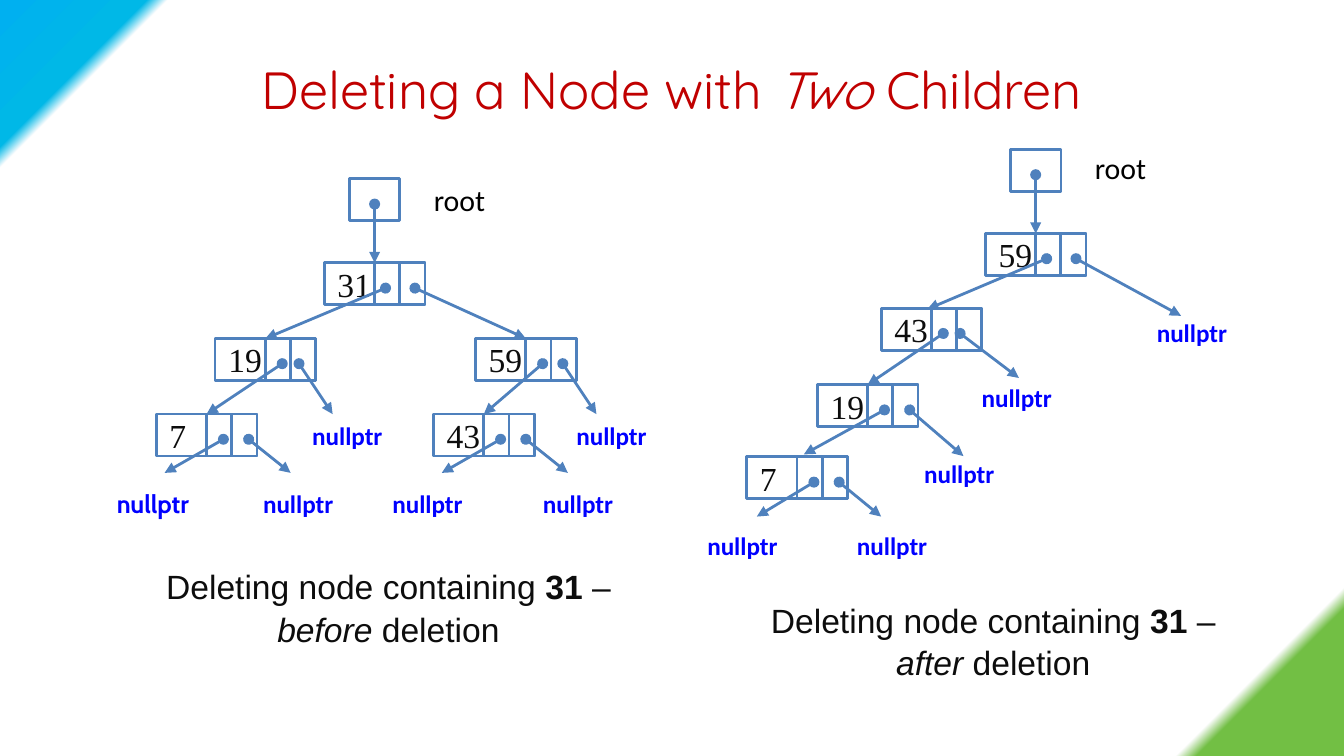
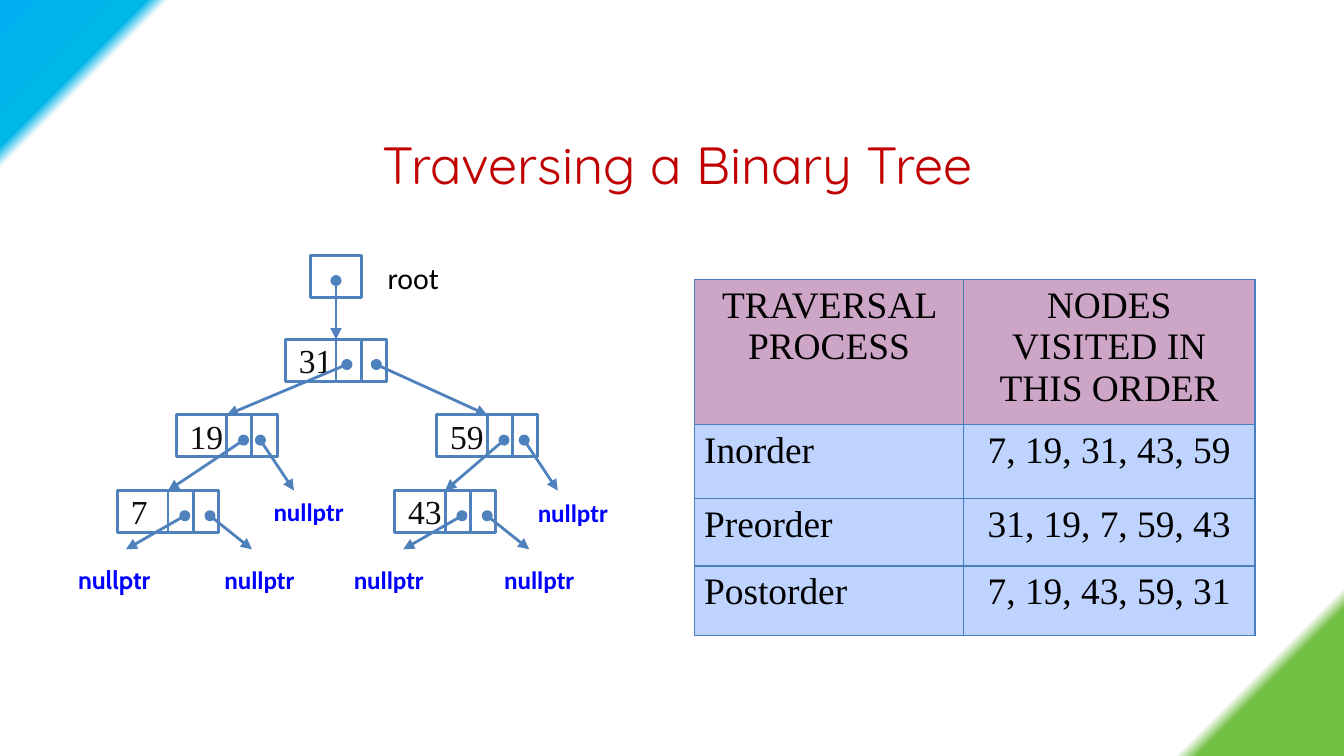
import lxml.etree
import pptx
import pptx.dml.color
import pptx.enum.shapes
import pptx.enum.text
import pptx.oxml
import pptx.oxml.ns
import pptx.util

RGB = pptx.dml.color.RGBColor
RED = RGB(0xC0, 0x00, 0x00)
BLUE = RGB(0x4F, 0x81, 0xBD)
NULL = RGB(0x00, 0x00, 0xFF)
INK = RGB(0x0D, 0x0D, 0x0D)
BLACK = RGB(0x00, 0x00, 0x00)
EDGE = RGB(0x4B, 0x7E, 0xBC)
HEAD = RGB(0xCD, 0xA5, 0xC7)
BODY = RGB(0xBF, 0xD3, 0xFF)
SKY = RGB(0x00, 0xB0, 0xF0)
AQUA = RGB(0x00, 0xB8, 0xE7)
WHITE = RGB(0xFF, 0xFF, 0xFF)
GREEN = RGB(0x72, 0xBF, 0x44)

LEFT = pptx.enum.text.PP_ALIGN.LEFT
MID = pptx.enum.text.PP_ALIGN.CENTER
TOP = pptx.enum.text.MSO_ANCHOR.TOP
HALF = pptx.enum.text.MSO_ANCHOR.MIDDLE
RECT = pptx.enum.shapes.MSO_SHAPE.RECTANGLE
LINE = pptx.enum.shapes.MSO_CONNECTOR.STRAIGHT
NS = pptx.oxml.ns.nsdecls("a")

# The slide is a grid of 160 columns by 90 rows of square units
deck = pptx.Presentation()
deck.slide_width = pptx.util.Inches(10)
deck.slide_height = pptx.util.Inches(5.625)
UNIT = deck.slide_width / 160


def write(frame, text, font="Calibri", size=18, color=INK, bold=False,
          align=MID, anchor=TOP, wrap=True, before=0, space=None):
    """Fill a frame with text, or with (text, style) runs; style is b, i or empty."""
    frame.word_wrap = wrap
    frame.vertical_anchor = anchor
    para = frame.paragraphs[0]
    para.alignment = align
    para.space_before = pptx.util.Pt(before)
    if space:
        para.line_spacing = space
    for words, style in [(text, "")] if isinstance(text, str) else text:
        run = para.add_run()
        run.text = words
        run.font.name = font
        run.font.size = pptx.util.Pt(size)
        run.font.color.rgb = color
        run.font.bold = bold or style == "b"
        run.font.italic = style == "i"


def place(slide, *cells, rect=False):
    """Add a text box or an outlined rectangle at left, top, width, height."""
    spot = [round(c * UNIT) for c in cells]
    if not rect:
        return slide.shapes.add_textbox(*spot)
    shape = slide.shapes.add_shape(RECT, *spot)
    shape.shadow.inherit = False
    shape.fill.background()
    shape.line.color.rgb = BLUE
    shape.line.width = pptx.util.Pt(1.5)
    return shape


# Shared background: coloured corners
master = deck.slide_master
fill = master.background.fill
fill.gradient()
fill.gradient_angle = 315
stops = master.element.find(".//" + pptx.oxml.ns.qn("a:gsLst"))
for old in list(stops):
    stops.remove(old)
for share, tone in [(0, SKY), (7, AQUA), (8, WHITE), (92, WHITE), (93, GREEN)]:
    stops.append(pptx.oxml.parse_xml(
        f'<a:gs {NS} pos="{share * 1000}"><a:srgbClr val="{tone}"/></a:gs>'))

# Slides and titles
titles = [
    ([("Deleting a Node with ", ""), ("Two", "i"), (" Children", "")], (21.4, 4, 117.2, 13)),
    ("Traversing a Binary Tree", (5.3, 13, 150.7, 13)),
]
slides = []
for text, spot in titles:
    slide = deck.slides.add_slide(deck.slide_layouts[6])
    write(place(slide, *spot).text_frame, text, font="Quicksand", size=28,
          color=RED, anchor=HALF)
    slides.append(slide)
first, second = slides

# Trees, measured from the corner of the root box.
# nodes: key -> left, top
# arrows: node, start column in it, then the node or the point it leads to
# nulls: left, top, width, font, alignment
full = dict(
    nodes={31: (-3, 10), 59: (15, 19), 19: (-16, 19), 7: (-23, 28), 43: (10, 28)},
    arrows=[(31, 7.3, 19), (31, 10.8, 59), (19, 8, 7), (19, 10, (-2, 28)),
            (59, 8, 43), (59, 10.4, (29.4, 28)),
            (7, 8, (-22, 35)), (7, 11, (-7, 35)),
            (43, 8, (11, 35)), (43, 11, (26, 35))],
    nulls=[(25, 28, 12.4, "Calibri", MID), (-29.4, 36, 12, "Cabin", MID),
           (-12, 36, 11.8, "Calibri", MID), (3, 36, 12.6, "Calibri", MID),
           (21, 36, 12.4, "Calibri", MID), (-6, 27.9, 12.6, "Calibri", LEFT)])
pruned = dict(
    nodes={59: (-3, 10), 43: (-15.4, 18.9), 19: (-23, 28), 7: (-31.4, 36.6)},
    arrows=[(59, 7.3, (-9.9, 19)), (59, 10.8, (20.3, 19.8)),
            (43, 7.4, 19), (43, 9.4, (1, 27.2)),
            (19, 8, (-24.6, 36.3)), (19, 11, (-5.6, 36.5)),
            (7, 8, (-30.2, 43.7)), (7, 11, (-15.4, 43.7))],
    nulls=[(15.4, 19.2, 12.4, "Calibri", MID), (-12, 36, 11.8, "Calibri", MID),
           (-38.2, 44.6, 12.6, "Calibri", MID), (-20.3, 44.6, 12.4, "Calibri", MID),
           (-5, 26.9, 12.6, "Calibri", LEFT)])

views = [(first, full, 41.6, 21.3, 7.5, 0.5),
         (first, pruned, 120.3, 17.8, 7.5, 0.2),
         (second, full, 37, 30.4, 6.6, 0.6)]
for slide, tree, left, top, over, down in views:
    # Root box and nodes with their two pointer cells
    place(slide, left, top, 6, 5, rect=True)
    boxes = {}
    for key, (x, y) in tree["nodes"].items():
        boxes[key] = place(slide, left + x, top + y, 12, 5, rect=True)
        write(boxes[key].text_frame, str(key), font="Times New Roman",
              align=LEFT, anchor=HALF, wrap=False)
        for col in (9, 6):
            place(slide, left + x + col, top + y, 3, 5, rect=True)

    # Pointers
    spans = [((3, 3), next(iter(boxes)))]
    for key, col, goal in tree["arrows"]:
        x, y = tree["nodes"][key]
        spans.append(((x + col, y + 3), goal))
    for start, goal in spans:
        end = goal if isinstance(goal, tuple) else start
        ends = [round((base + c) * UNIT) for c, base in zip(start + end, (left, top) * 2)]
        link = slide.shapes.add_connector(LINE, *ends)
        if goal in boxes:
            link.end_connect(boxes[goal], 0)
        link.line.color.rgb = BLUE
        link.line.width = pptx.util.Pt(1.5)
        stroke = link.line._get_or_add_ln()
        for tag, kind in (("headEnd", "oval"), ("tailEnd", "triangle")):
            stroke.append(pptx.oxml.parse_xml(f'<a:{tag} {NS} type="{kind}"/>'))
        link._element.spPr.append(pptx.oxml.parse_xml(f"<a:effectLst {NS}/>"))

    # Labels
    for x, y, wide, font, align in tree["nulls"]:
        write(place(slide, left + x, top + y, wide, 5.3).text_frame, "nullptr",
              font=font, size=13.5, color=NULL, bold=True, align=align)
    write(place(slide, left + over, top + down, 11.2, 4).text_frame, "root",
          size=16, color=BLACK, anchor=HALF)

# Captions
for word, x, y in [("before", 16, 66.4), ("after", 88, 70.4)]:
    write(place(first, x, y, 60.5, 11.4).text_frame,
          [("Deleting node containing ", ""), ("31", "b"), (" – ", ""),
           (word, "i"), (" deletion", "")], font="Arial", space=1.05)

# Table of traversals
rows = [("TRAVERSAL PROCESS", "NODES VISITED IN THIS ORDER"),
        ("Inorder", "7, 19, 31, 43, 59"),
        ("Preorder", "31, 19, 7, 59, 43"),
        ("Postorder", "7, 19, 43, 59, 31")]
wides = (32, 34.7)
highs = (13.3, 8.8, 8, 8.3)
spot = [round(c * UNIT) for c in (82.7, 33.3, sum(wides), sum(highs))]
table = second.shapes.add_table(len(rows), len(wides), *spot).table
table.first_row = False
table.horz_banding = False
for col, wide in zip(table.columns, wides):
    col.width = round(wide * UNIT)
for r, (row, high) in enumerate(zip(rows, highs)):
    table.rows[r].height = round(high * UNIT)
    for c, text in enumerate(row):
        cell = table.cell(r, c)
        cell.margin_left = cell.margin_right = pptx.util.Inches(0.07)
        cell.margin_top = cell.margin_bottom = pptx.util.Inches(0.04)
        write(cell.text_frame, text, font="Times New Roman", size=20, color=BLACK,
              align=LEFT if r and not c else MID, before=12 if r else 4)
        props = cell._tc.get_or_add_tcPr()
        for side in ("lnL", "lnR", "lnT", "lnB"):
            props.append(pptx.oxml.parse_xml(
                f'<a:{side} {NS} w="9525"><a:solidFill><a:srgbClr val="{EDGE}"/>'
                f'</a:solidFill></a:{side}>'))
        cell.fill.solid()
        cell.fill.fore_color.rgb = BODY if r else HEAD

deck.save("out.pptx")
